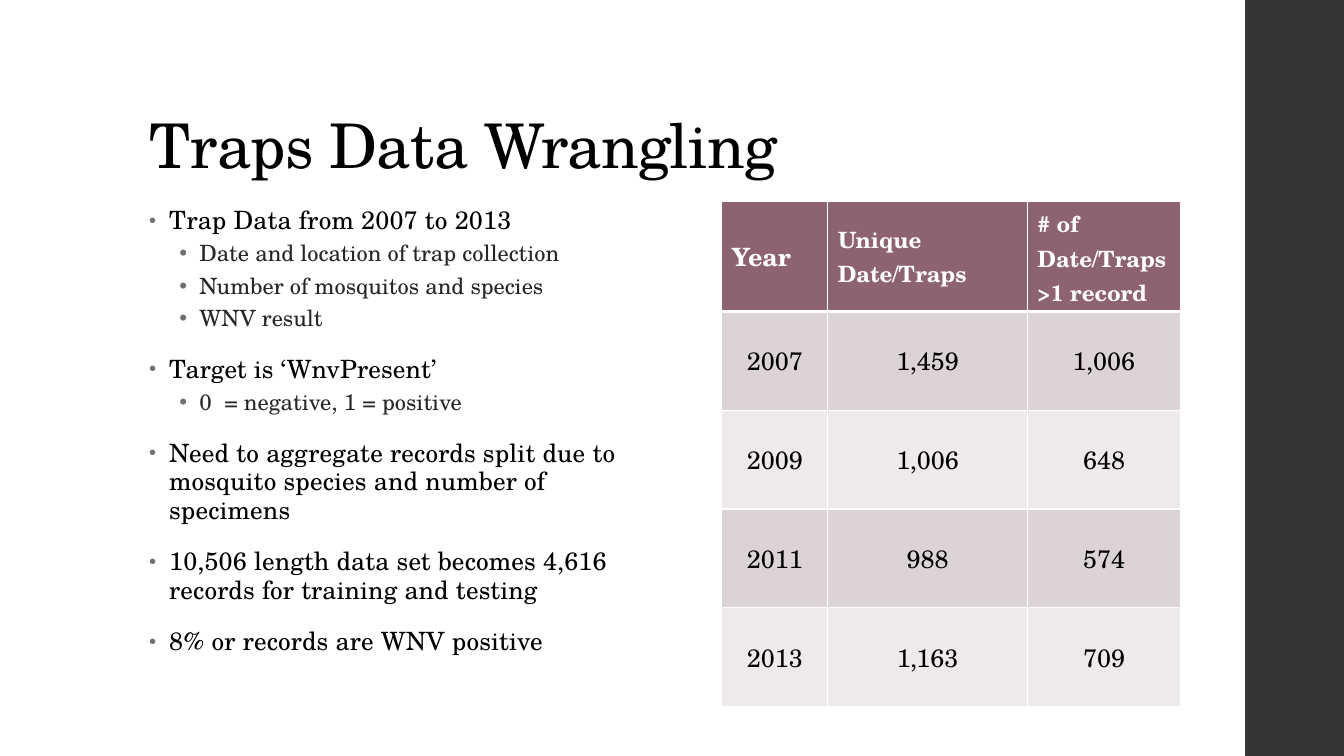
"""Build the Traps Data Wrangling slide."""
import pptx
import pptx.util
import pptx.dml.color
import pptx.enum.shapes
import pptx.enum.text
import pptx.oxml
import pptx.oxml.ns
from pptx.util import Inches

FONT = "TeX Gyre Schola"
COLORS = {"bar": "353537", "black": "000000", "gray": "262626", "dot": "6F6F74",
          "white": "FFFFFF", "head": "8D6374", "odd": "DBD3D6", "even": "EEEAEB"}
NS = pptx.oxml.ns.nsdecls("a")
ALIGN = pptx.enum.text.PP_ALIGN
ANCHOR = pptx.enum.text.MSO_ANCHOR


def rgb(name):
    return pptx.dml.color.RGBColor.from_string(COLORS[name])


def add_run(para, text, size, color, bold=False, gap=0):
    run = para.add_run()
    run.text = text
    run.font.name = FONT
    run.font.size = pptx.util.Pt(size)
    run.font.bold = bold
    run.font.color.rgb = rgb(color)
    if gap:
        run.font._element.set("spc", str(gap))


deck = pptx.Presentation()
deck.slide_width, deck.slide_height = Inches(13.33), Inches(7.5)
slide = deck.slides.add_slide(deck.slide_layouts[5])

bar = slide.shapes.add_shape(pptx.enum.shapes.MSO_SHAPE.RECTANGLE,
                             Inches(12.35), 0, Inches(0.98), Inches(7.5))
bar.shadow.inherit = False
bar.fill.solid()
bar.fill.fore_color.rgb = rgb("bar")
bar.line.fill.background()

title = slide.shapes.title
title.left, title.top = Inches(1.38), Inches(0.4)
title.width, title.height = Inches(10.6), Inches(1.45)
frame = title.text_frame
frame.auto_size = pptx.enum.text.MSO_AUTO_SIZE.NONE
frame.word_wrap = True
frame.vertical_anchor = ANCHOR.BOTTOM
para = frame.paragraphs[0]
para.alignment = ALIGN.LEFT
para.line_spacing = 0.9
add_run(para, "Traps Data Wrangling", 44, "black", gap=-50)

points = [
    (0, "Trap Data from 2007 to 2013"),
    (1, "Date and location of trap collection"),
    (1, "Number of mosquitos and species"),
    (1, "WNV result"),
    (0, "Target is ‘WnvPresent’"),
    (1, "0  = negative, 1 = positive"),
    (0, "Need to aggregate records split due to mosquito species and number of specimens"),
    (0, "10,506 length data set becomes 4,616 records for training and testing"),
    (0, "8% or records are WNV positive"),
]
# level: indent, line spacing, before, after, bullet percent, size, color, gap
styles = [(0.2, 0.95, 14, 2, 80, 18, "black", 10),
          (0.5, 0.9, 3, 3, 100, 16, "gray", 0)]
body = slide.shapes.add_textbox(Inches(1.38), Inches(2), Inches(4.9), Inches(4.76))
frame = body.text_frame
frame.word_wrap = True
for i, (level, text) in enumerate(points):
    indent, lead, before, after, scale, size, color, gap = styles[level]
    para = frame.add_paragraph() if i else frame.paragraphs[0]
    para.level = level
    para.line_spacing = lead
    para.space_before = pptx.util.Pt(before)
    para.space_after = pptx.util.Pt(after)
    props = para._p.get_or_add_pPr()
    props.set("marL", str(Inches(indent)))
    props.set("indent", str(-Inches(0.2)))
    for xml in (f'<a:buClr {NS}><a:srgbClr val="{COLORS["dot"]}"/></a:buClr>',
                f'<a:buSzPct {NS} val="{scale * 1000}"/>',
                f'<a:buFont {NS} typeface="Arial"/>',
                f'<a:buChar {NS} char="•"/>'):
        props.append(pptx.oxml.parse_xml(xml))
    add_run(para, text, size, color, gap=gap)

rows = [("Year", "Unique Date/Traps", "# of Date/Traps >1 record"),
        ("2007", "1,459", "1,006"),
        ("2009", "1,006", "648"),
        ("2011", "988", "574"),
        ("2013", "1,163", "709")]
table = slide.shapes.add_table(5, 3, Inches(7.16), Inches(2),
                               Inches(4.55), Inches(5.01)).table
for col, width in zip(table.columns, (1.05, 1.98, 1.52)):
    col.width = Inches(width)
for r, row in enumerate(rows):
    head = r == 0
    table.rows[r].height = Inches(1.09 if head else 0.98)
    for c, text in enumerate(row):
        cell = table.cell(r, c)
        cell.vertical_anchor = ANCHOR.MIDDLE
        props = cell._tc.get_or_add_tcPr()
        for side in "LRTB":
            thick = (head and side == "B") or (r == 1 and side == "T")
            width = pptx.util.Pt(3 if thick else 1)
            props.append(pptx.oxml.parse_xml(
                f'<a:ln{side} {NS} w="{width}"><a:solidFill>'
                f'<a:srgbClr val="{COLORS["white"]}"/></a:solidFill></a:ln{side}>'))
        cell.fill.solid()
        cell.fill.fore_color.rgb = rgb("head" if head else "odd" if r % 2 else "even")
        para = cell.text_frame.paragraphs[0]
        para.alignment = ALIGN.LEFT if head else ALIGN.CENTER
        add_run(para, text, 16 if head and c else 18,
                "white" if head else "black", bold=head)

deck.save("out.pptx")
